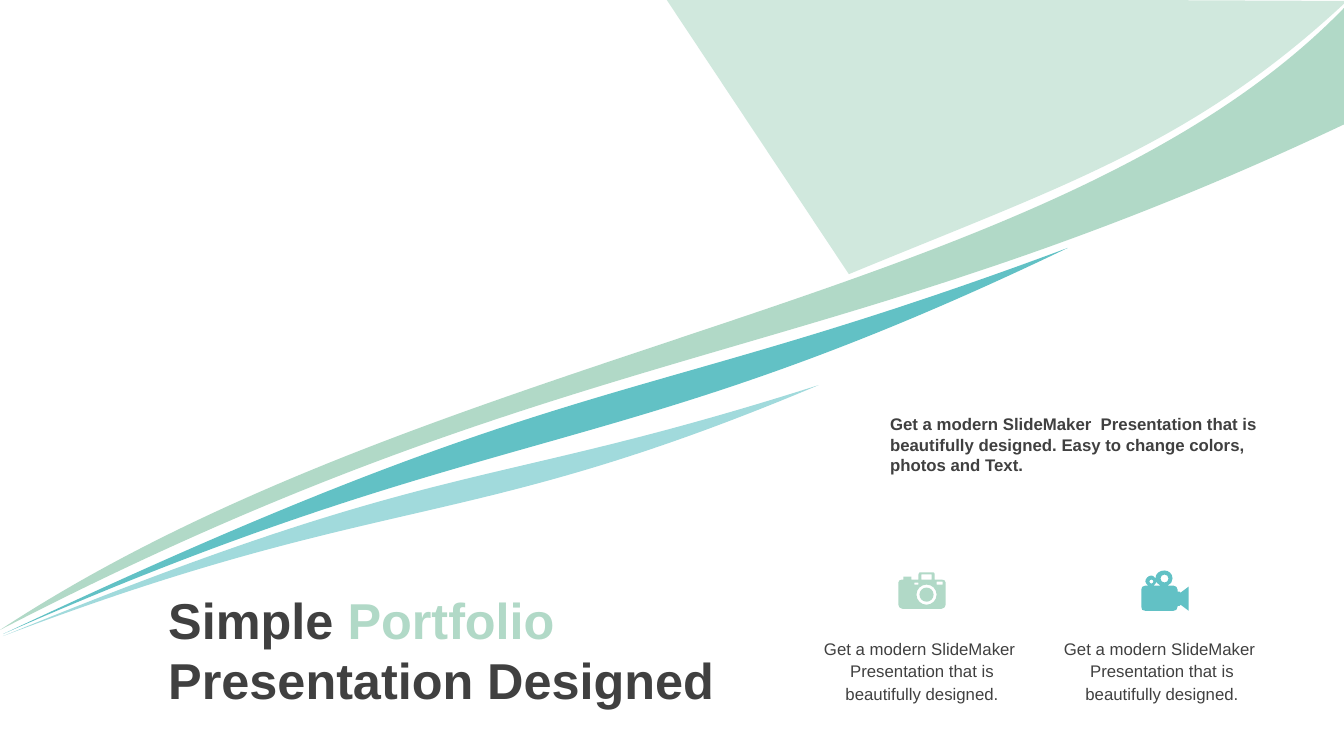
from math import cos, radians, sin

from pptx import Presentation
from pptx.dml.color import RGBColor
from pptx.enum.text import MSO_ANCHOR, MSO_AUTO_SIZE, PP_ALIGN
from pptx.oxml.xmlchemy import OxmlElement
from pptx.util import Inches, Pt

MIDDLE, TOP = MSO_ANCHOR.MIDDLE, MSO_ANCHOR.TOP
LEFT, CENTER = PP_ALIGN.LEFT, PP_ALIGN.CENTER
GROW, FIXED = MSO_AUTO_SIZE.SHAPE_TO_FIT_TEXT, MSO_AUTO_SIZE.NONE

# Grid: every length below counts these columns and rows
SLIDE_W, SLIDE_H = Inches(13.33), Inches(7.5)
COL, ROW = SLIDE_W / 1333, SLIDE_H / 750
ARC = 0.55  # share of the radius that bends a Bezier curve into a quarter circle

COLORS = {
    "mist": "D0E8DD",
    "mint": "B1D9C7",
    "teal": "62C1C5",
    "aqua": "A1DADC",
    "ink": "404040",
}

# Outlines: two numbers end a straight line, six numbers make a Bezier curve
PANEL = [(660, -2), (842, 272), (1055, 184, 1184, 143, 1336, 1)]
MINT_RIBBON = [(0, 625), (437, 338, 1049, 301, 1333, 8), (1334, 123),
               (816, 368, 567, 332, 0, 625)]
TEAL_RIBBON = [(3, 629), (499, 411, 603, 465, 1059, 246),
               (616, 411, 576, 359, 3, 629)]
AQUA_RIBBON = [(3, 631), (385, 486, 461, 530, 812, 382),
               (473, 490, 444, 450, 3, 631)]
CAMERA_BODY = [
    (912, 568), (926, 568), (927, 568, 927, 569, 927, 570), (927, 575),
    (934, 575), (936, 575, 938, 576, 938, 578),
    (938, 600), (938, 602, 936, 604, 934, 604),
    (895, 604), (893, 604, 891, 602, 891, 600),
    (891, 578), (891, 576, 893, 575, 895, 575),
    (896, 575), (896, 572), (904, 572), (904, 575), (911, 575),
    (911, 570), (911, 569, 912, 568, 912, 568),
]
CAMCORDER_BODY = [
    (1155, 566), (1159, 566, 1163, 569, 1163, 574),
    (1163, 577, 1161, 580, 1158, 581),
    (1164, 581), (1166, 581, 1168, 583, 1168, 585), (1168, 587),
    (1170, 587), (1171, 588), (1179, 582), (1179, 606), (1171, 600),
    (1170, 601), (1168, 601), (1168, 602), (1168, 605, 1166, 606, 1164, 606),
    (1136, 606), (1133, 606, 1132, 605, 1132, 602),
    (1132, 585), (1132, 583, 1133, 581, 1136, 581), (1139, 581),
    (1138, 580, 1136, 579, 1136, 577), (1136, 574, 1139, 571, 1142, 571),
    (1144, 571, 1147, 574, 1147, 577), (1147, 579, 1145, 580, 1144, 581),
    (1151, 581), (1148, 580, 1146, 577, 1146, 574),
    (1146, 569, 1150, 566, 1155, 566),
]

PITCH = "Get a modern SlideMaker  Presentation that is beautifully designed."


def circle(cx, cy, radius):
    outline = [(cx, cy - radius)]
    for dx, dy in ((0, -1), (1, 0), (0, 1), (-1, 0)):
        ex, ey = -dy, dx
        quarter = ((dx + ARC * ex, dy + ARC * ey), (ex + ARC * dx, ey + ARC * dy),
                   (ex, ey))
        outline.append(tuple(n for x, y in quarter
                             for n in (cx + radius * x, cy + radius * y)))
    return outline


def box(left, top, right, bottom):
    return [(left, top), (right, top), (right, bottom), (left, bottom)]


def grid_points(outline, angle, center):
    """Slide points of an outline, turned back by the shape's own rotation."""
    c, s = cos(radians(angle)), sin(radians(angle))
    cx, cy = center
    pairs = [step[i:i + 2] for step in outline for i in range(0, len(step), 2)]
    return [(round((cx + (x - cx) * c + (y - cy) * s) * COL),
             round((cy + (y - cy) * c - (x - cx) * s) * ROW)) for x, y in pairs]


def bend_curves(sp, contours):
    """Join the three straight legs of each six-number step into one curve."""
    nodes = iter(sp._element.xpath(".//a:pathLst/a:path/*"))
    for contour in contours:
        next(nodes)  # move to the start
        for step in contour[1:]:
            leg = next(nodes)
            if len(step) == 6:
                curve = OxmlElement("a:cubicBezTo")
                leg.addprevious(curve)
                for old in (leg, next(nodes), next(nodes)):
                    curve.append(old[0])
                    old.getparent().remove(old)
        next(nodes)  # close


def add_outline(slide, contours, color, angle=0, center=(0, 0)):
    builder = None
    for contour in contours:
        start, *others = grid_points(contour, angle, center)
        if builder is None:
            builder = slide.shapes.build_freeform(*start)
        else:
            builder.move_to(*start)
        builder.add_line_segments(others, close=True)
    sp = builder.convert_to_shape()
    bend_curves(sp, contours)
    sp.rotation = angle
    sp.shadow.inherit = False
    sp.fill.solid()
    sp.fill.fore_color.rgb = RGBColor.from_string(COLORS[color])
    sp.line.fill.background()


def add_text(slide, place, runs, size, bold=False, align=LEFT, spacing=None,
             anchor=TOP, fit=GROW):
    left, top, width, height = place
    sp = slide.shapes.add_textbox(round(left * COL), round(top * ROW),
                                  round(width * COL), round(height * ROW))
    tf = sp.text_frame
    frame_format = {"word_wrap": True, "auto_size": fit, "vertical_anchor": anchor}
    for name, value in frame_format.items():
        setattr(tf, name, value)
    p = tf.paragraphs[0]
    p.alignment, p.line_spacing = align, spacing
    for text, color in runs:
        r = p.add_run()
        r.text = text
        for name, value in {"name": "Arial", "size": Pt(size), "bold": bold}.items():
            setattr(r.font, name, value)
        r.font.color.rgb = RGBColor.from_string(COLORS[color])


def main():
    prs = Presentation()
    prs.slide_width, prs.slide_height = SLIDE_W, SLIDE_H
    slide = prs.slides.add_slide(prs.slide_layouts[6])

    # Panel and ribbons
    add_outline(slide, [PANEL], "mist")
    add_outline(slide, [MINT_RIBBON], "mint")
    add_outline(slide, [TEAL_RIBBON], "teal", 5, (531, 437))
    add_outline(slide, [AQUA_RIBBON], "aqua", 7.8, (408, 507))

    # Title
    add_text(slide, (157, 568, 595, 152),
             [("Simple ", "ink"), ("Portfolio ", "mint"),
              ("Presentation Designed", "ink")],
             36, bold=True, anchor=MIDDLE, fit=FIXED)

    # Captions under the icons
    for left in (799, 1037):
        add_text(slide, (left, 627, 231, 75), [(PITCH, "ink")], 12,
                 align=CENTER, spacing=1.1)

    # Camera and camcorder icons
    add_outline(slide, [circle(919, 590, 7), circle(919, 590, 10),
                        box(907, 578, 911, 580), box(929, 577, 935, 580),
                        box(914, 570, 924, 575), CAMERA_BODY], "mint")
    add_outline(slide, [circle(1142, 577, 2), circle(1155, 574, 4),
                        CAMCORDER_BODY], "teal")

    # Lead text
    add_text(slide, (873, 406, 416, 71),
             [(PITCH + " Easy to change colors, photos and Text.", "ink")],
             12, bold=True)

    prs.save("out.pptx")


if __name__ == "__main__":
    main()
